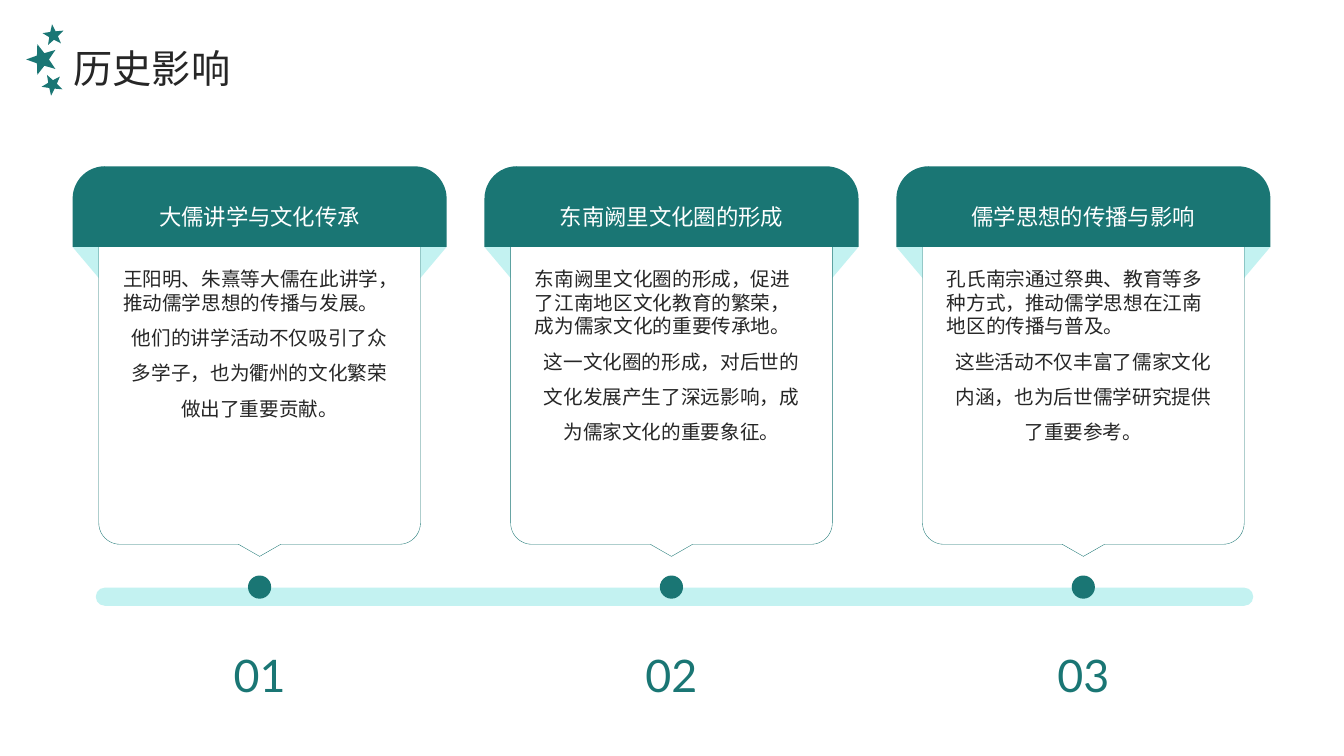
from math import cos, radians, sin

from lxml.etree import SubElement
from pptx import Presentation
from pptx.dml.color import RGBColor
from pptx.enum.shapes import MSO_SHAPE
from pptx.enum.text import MSO_ANCHOR, MSO_AUTO_SIZE, PP_ALIGN
from pptx.oxml.ns import qn
from pptx.util import Inches, Pt

TITLE = "历史影响"
CARDS = [
    ("01", "大儒讲学与文化传承",
     "王阳明、朱熹等大儒在此讲学，推动儒学思想的传播与发展。",
     "他们的讲学活动不仅吸引了众多学子，也为衢州的文化繁荣做出了重要贡献。"),
    ("02", "东南阙里文化圈的形成",
     "东南阙里文化圈的形成，促进了江南地区文化教育的繁荣，成为儒家文化的重要传承地。",
     "这一文化圈的形成，对后世的文化发展产生了深远影响，成为儒家文化的重要象征。"),
    ("03", "儒学思想的传播与影响",
     "孔氏南宗通过祭典、教育等多种方式，推动儒学思想在江南地区的传播与普及。",
     "这些活动不仅丰富了儒家文化内涵，也为后世儒学研究提供了重要参考。"),
]
STARS = [(0.52, 0.84, 0.11, -119), (0.42, 0.59, 0.16, 180), (0.53, 0.35, 0.11, -97)]

TEAL, PALE, INK, WHITE = "1A7674", "C3F2F1", "262626", "FFFFFF"
CHINESE, LATIN = "Noto Sans CJK SC", "Lato"
FIRST_CENTER, PITCH = 2.575, 4.085
HEADER_WIDTH, HEADER_TOP, HEADER_HEIGHT = 3.71, 1.65, 0.8
HEADER_BOTTOM = HEADER_TOP + HEADER_HEIGHT
PANEL_WIDTH, PANEL_TOP, PANEL_BOTTOM = 3.19, 1.95, 5.4
CORNER, POINTER = 0.21, 0.12
FOLD_WIDTH, FOLD_HEIGHT = 0.27, 0.32
TEXT_WIDTH, LABEL_HEIGHT = 2.71, 0.76
DOT = 0.23

deck = Presentation()
deck.slide_width, deck.slide_height = Inches(13.33), Inches(7.5)
page = deck.slides.add_slide(deck.slide_layouts[5])


def color(value):
    return RGBColor.from_string(value)


def paint(shape, fill, line=None):
    shape.shadow.inherit = False
    shape.fill.solid()
    shape.fill.fore_color.rgb = color(fill)
    if line:
        shape.line.color.rgb = color(line)
        shape.line.width = Pt(0.25)
    else:
        shape.line.fill.background()
    return shape


def add_preset(kind, left, top, width, height, fill):
    shape = page.shapes.add_shape(kind, *map(Inches, (left, top, width, height)))
    return paint(shape, fill)


def add_outline(contours, fill, line=None):
    contours = [[(Inches(x), Inches(y)) for x, y in points] for points in contours]
    builder = page.shapes.build_freeform(*contours[0][0])
    for index, points in enumerate(contours):
        if index:
            builder.move_to(*points[0])
        builder.add_line_segments(points[1:], close=True)
    return paint(builder.convert_to_shape(), fill, line)


def write(box, paragraphs, size, tone, font=CHINESE, anchor=MSO_ANCHOR.TOP):
    frame = box.text_frame
    frame.text = "\n".join(text for text, align, spacing in paragraphs)
    frame.word_wrap = True
    frame.auto_size = MSO_AUTO_SIZE.NONE
    frame.vertical_anchor = anchor
    frame.margin_left = frame.margin_right = frame.margin_top = frame.margin_bottom = 0
    for para, (text, align, spacing) in zip(frame.paragraphs, paragraphs):
        para.alignment, para.line_spacing = align, spacing
        para.space_before = para.space_after = Pt(0)
        for span in para.runs:
            span.font.size = Pt(size)
            span.font.color.rgb = color(tone)
            span.font.name = font
            SubElement(span.font._element, qn("a:ea")).set("typeface", font)


def add_text(center, top, height, paragraphs, *style):
    box = page.shapes.add_textbox(
        *map(Inches, (center - TEXT_WIDTH / 2, top, TEXT_WIDTH, height)))
    write(box, paragraphs, *style)


def arc(x, y, start):
    return [(x + CORNER * cos(radians(start + step * 7.5)),
             y + CORNER * sin(radians(start + step * 7.5))) for step in range(13)]


def panel_points(center):
    left, right = center - PANEL_WIDTH / 2, center + PANEL_WIDTH / 2
    pointer = [(center + CORNER, PANEL_BOTTOM), (center, PANEL_BOTTOM + POINTER),
               (center - CORNER, PANEL_BOTTOM)]
    return (arc(right - CORNER, PANEL_TOP + CORNER, -90)
            + arc(right - CORNER, PANEL_BOTTOM - CORNER, 0)
            + pointer
            + arc(left + CORNER, PANEL_BOTTOM - CORNER, 90)
            + arc(left + CORNER, PANEL_TOP + CORNER, 180))


def star_points(x, y, radius, first_angle):
    points = []
    for step in range(10):
        reach = radius * (0.41 if step % 2 else 1)
        angle = radians(first_angle + 36 * step)
        points.append((x + reach * cos(angle), y + reach * sin(angle)))
    return points


def add_fold(left, mirrored):
    fold = add_preset(MSO_SHAPE.RIGHT_TRIANGLE, left, HEADER_BOTTOM,
                      FOLD_WIDTH, FOLD_HEIGHT, PALE)
    frame = fold._element.spPr.find(qn("a:xfrm"))
    frame.set("flipV", "1")
    if mirrored:
        frame.set("flipH", "1")


def add_card(center, number, heading, opening, detail):
    left = center - HEADER_WIDTH / 2
    add_preset(MSO_SHAPE.OVAL, center - DOT / 2, 5.71, DOT, DOT, TEAL)
    add_fold(left, True)
    add_fold(left + HEADER_WIDTH - FOLD_WIDTH, False)
    add_outline([panel_points(center)], WHITE, TEAL)
    header = add_preset(MSO_SHAPE.ROUND_2_SAME_RECTANGLE, left, HEADER_TOP,
                        HEADER_WIDTH, HEADER_HEIGHT, TEAL)
    header.adjustments[0] = 0.4
    add_text(center, 2.65, 2.47, [(opening, PP_ALIGN.LEFT, 1.0),
                                  (detail, PP_ALIGN.CENTER, 1.5)], 14, INK)
    add_text(center, 1.7, LABEL_HEIGHT, [(heading, PP_ALIGN.CENTER, 1.5)],
             16, WHITE, CHINESE, MSO_ANCHOR.MIDDLE)
    add_text(center, 6.18, LABEL_HEIGHT, [(number, PP_ALIGN.CENTER, 1.5)],
             32, TEAL, LATIN, MSO_ANCHOR.MIDDLE)


title = page.shapes.title
title.left, title.top, title.width, title.height = map(Inches, (0.73, 0.3, 11.35, 0.59))
write(title, [(TITLE, PP_ALIGN.LEFT, 1.3)], 28, INK)

timeline = add_preset(MSO_SHAPE.ROUNDED_RECTANGLE, 0.95, 5.83, 11.48, 0.18, PALE)
timeline.adjustments[0] = 0.5
for column, card in enumerate(CARDS):
    add_card(FIRST_CENTER + column * PITCH, *card)
add_outline([star_points(*star) for star in STARS], TEAL)

deck.save("out.pptx")
